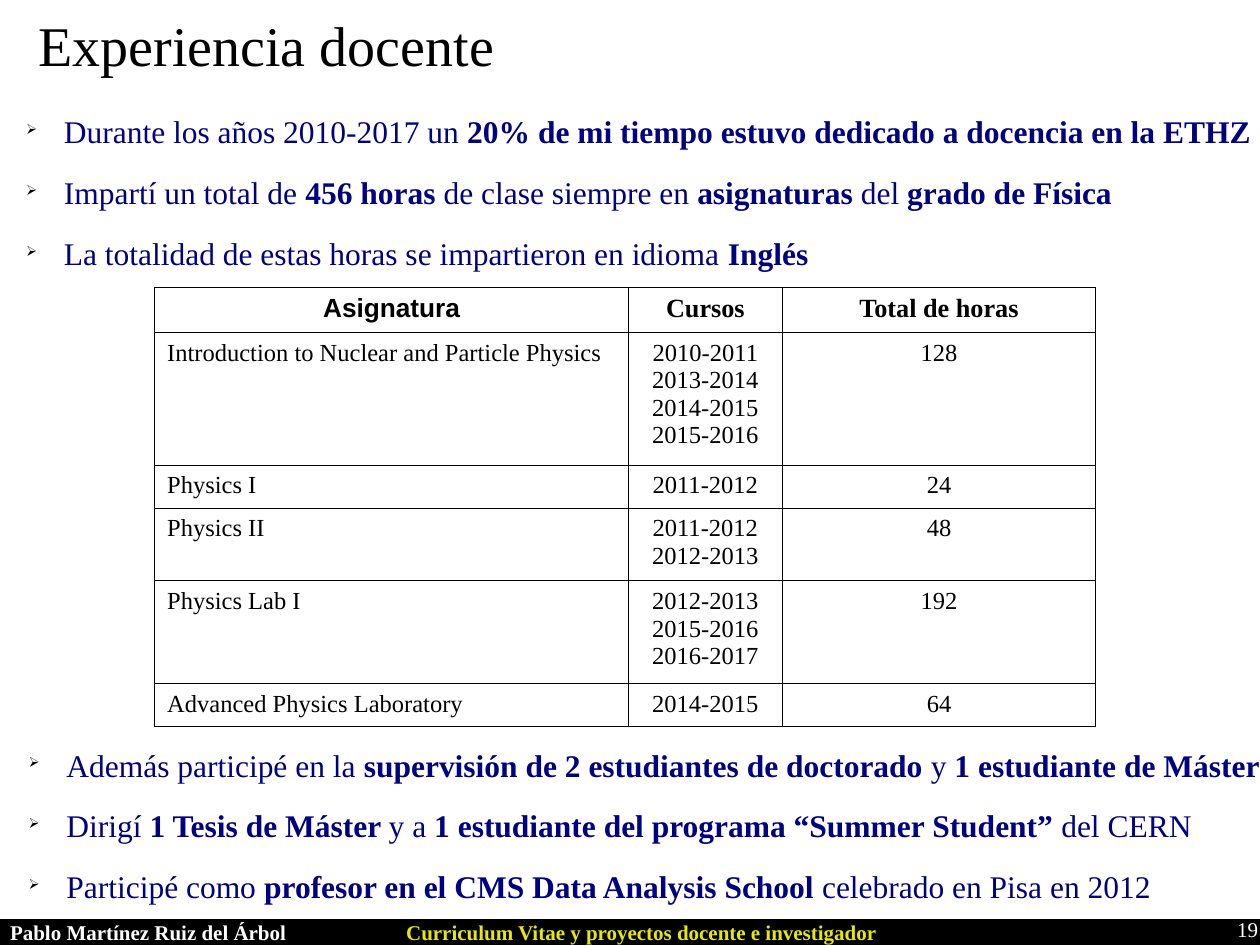
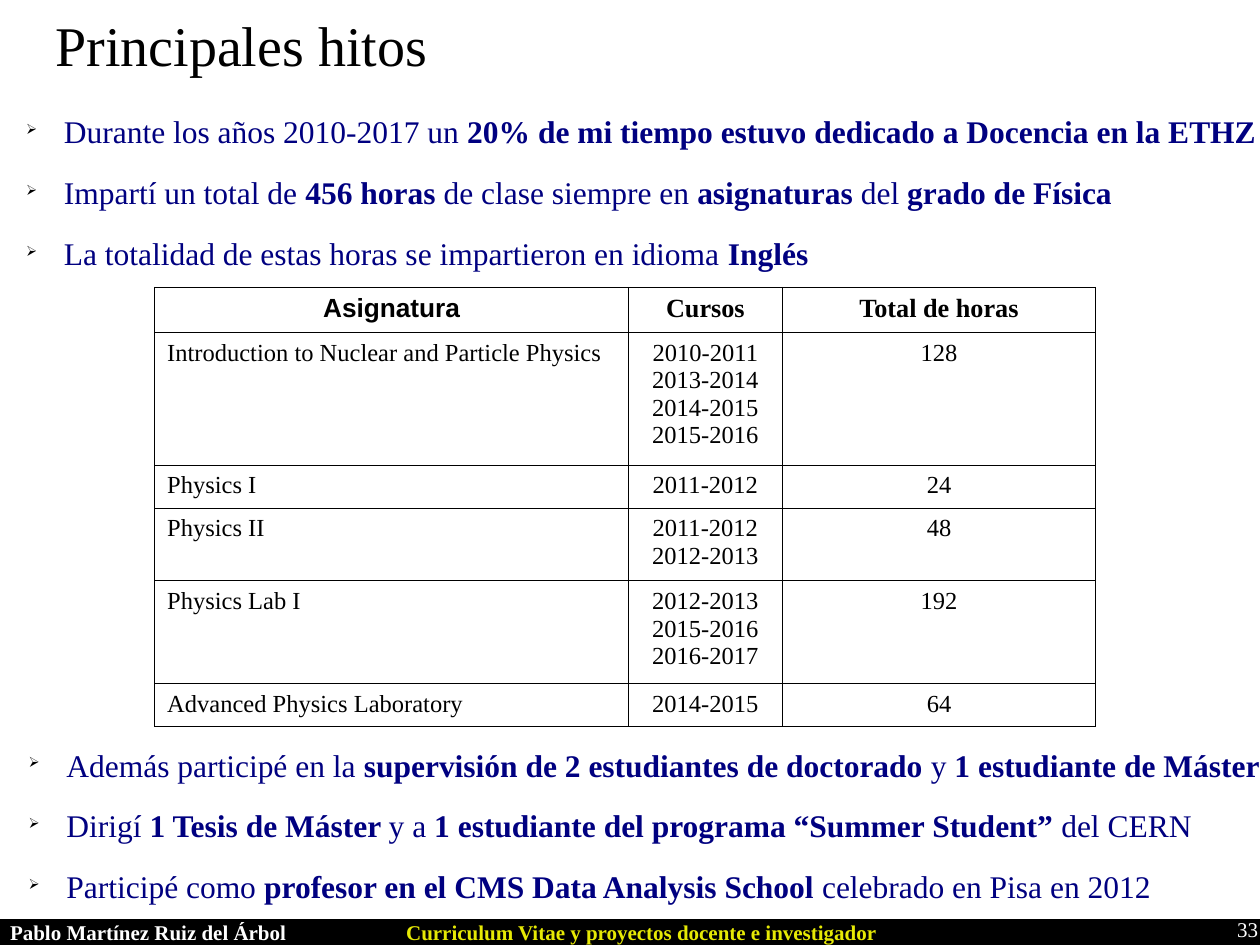
from lxml.etree import SubElement
from pptx import Presentation
from pptx.dml.color import RGBColor
from pptx.enum.shapes import MSO_SHAPE
from pptx.enum.text import PP_ALIGN
from pptx.oxml import parse_xml
from pptx.oxml.ns import nsdecls, qn
from pptx.util import Cm, Pt

SERIF, SANS = "Times New Roman", "Arial"
BLACK, WHITE, NAVY, YELLOW = "000000", "FFFFFF", "000080", "E6E905"
SLIDE_W, SLIDE_H = 25.4, 19.05
BULLET_INDENT = 0.76

COLUMN_WIDTHS = [9.55, 3.1, 6.32]
ROW_HEIGHTS = [0.89, 2.64, 0.86, 1.45, 2.03, 0.86]
HEADINGS = [("Asignatura", SANS), ("Cursos", SERIF), ("Total de horas", SERIF)]
COURSES = [
    ("Introduction to Nuclear and Particle Physics",
     ["2010-2011", "2013-2014", "2014-2015", "2015-2016"], 128),
    ("Physics I", ["2011-2012"], 24),
    ("Physics II", ["2011-2012", "2012-2013"], 48),
    ("Physics Lab I", ["2012-2013", "2015-2016", "2016-2017"], 192),
    ("Advanced Physics Laboratory", ["2014-2015"], 64),
]

# Text between double asterisks is bold.
TEACHING = [
    "Durante los años 2010-2017 un **20% de mi tiempo estuvo dedicado a {} en la ETHZ**",
    "Impartí un total de **456 horas** de clase siempre en **asignaturas** del **grado de Física**",
    "La totalidad de estas horas se impartieron en idioma **Inglés**",
]
SUPERVISION = [
    "Además participé en la **supervisión de 2 estudiantes de doctorado** y **1 estudiante de Máster**",
    "Dirigí **1 Tesis de Máster **y a **1 estudiante del programa “Summer Student”** del CERN",
    "Participé como **profesor en el CMS Data Analysis School** celebrado en Pisa en 2012",
]


def rgb(color):
    return RGBColor.from_string(color)


def write(tf, text, size=12, color=BLACK, font=SERIF, bold=False,
          align=PP_ALIGN.LEFT, spacing=1.02, before=0):
    """Fill a text frame, one paragraph per line; ** toggles bold."""
    for i, line in enumerate(text.split("\n")):
        p = tf.paragraphs[0] if i == 0 else tf.add_paragraph()
        p.alignment, p.line_spacing = align, spacing
        p.space_before = Pt(before)
        for j, part in enumerate(line.split("**")):
            if part:
                r = p.add_run()
                r.text = part
                r.font.name, r.font.size = font, Pt(size)
                r.font.bold = bold or j % 2 == 1
                r.font.color.rgb = rgb(color)


def add_text(s, box, text, inset=(0.25, 0.13), **fmt):
    tf = s.shapes.add_textbox(*map(Cm, box)).text_frame
    tf.word_wrap = True
    tf.margin_left = tf.margin_right = Cm(inset[0])
    tf.margin_top = tf.margin_bottom = Cm(inset[1])
    write(tf, text, **fmt)
    return tf


def add_footer(s, box, number):
    left, top, width, height = box
    band = s.shapes.add_shape(MSO_SHAPE.RECTANGLE, *map(Cm, box))
    band.shadow.inherit = False
    band.fill.solid()
    band.fill.fore_color.rgb = rgb(BLACK)
    band.line.color.rgb = rgb(BLACK)
    band.line.width = Pt(0.75)
    for x, w, text, color in [
        (-0.5, 6.98, "Pablo Martínez Ruiz del Árbol", WHITE),
        (6.8, 12.27, "Curriculum Vitae y proyectos docente e investigador", YELLOW),
    ]:
        add_text(s, (left + x, top - 0.15, w, 0.94), text, color=color,
                 bold=True, align=PP_ALIGN.CENTER, before=1)
    add_text(s, (left + width - 0.71, top - 0.2, 1.78, 1.4), str(number),
             color=WHITE, before=1)


def add_bullets(s, box, lines):
    tf = add_text(s, box, "\n".join(lines), inset=(0.33, 0.2), size=18,
                  color=NAVY, spacing=1.5, before=2.4)
    for p in tf.paragraphs:
        pPr = p._p.get_or_add_pPr()
        pPr.set("marL", str(Cm(BULLET_INDENT)))
        pPr.set("indent", str(-Cm(BULLET_INDENT)))
        color = SubElement(pPr, qn("a:buClr"))
        SubElement(color, qn("a:srgbClr"), val=BLACK)
        SubElement(pPr, qn("a:buSzPct"), val="45000")
        SubElement(pPr, qn("a:buChar"), char="➢")


def add_borders(cell):
    tcPr = cell._tc.get_or_add_tcPr()
    for i, side in enumerate(["lnL", "lnR", "lnT", "lnB"]):
        tcPr.insert(i, parse_xml(
            f'<a:{side} {nsdecls("a")} w="{Pt(0.57)}"><a:solidFill>'
            f'<a:srgbClr val="{BLACK}"/></a:solidFill></a:{side}>'))


def add_course_table(s, left, top):
    box = left, top, sum(COLUMN_WIDTHS), sum(ROW_HEIGHTS)
    table = s.shapes.add_table(len(ROW_HEIGHTS), len(COLUMN_WIDTHS),
                               *map(Cm, box)).table
    table.first_row = table.horz_banding = False
    for column, width in zip(table.columns, COLUMN_WIDTHS):
        column.width = Cm(width)
    for row, height in zip(table.rows, ROW_HEIGHTS):
        row.height = Cm(height)
    for j, (text, font) in enumerate(HEADINGS):
        write(table.cell(0, j).text_frame, text, size=15, font=font,
              bold=True, align=PP_ALIGN.CENTER)
    for i, (name, years, hours) in enumerate(COURSES, 1):
        for j, text in enumerate([name, "\n".join(years), str(hours)]):
            write(table.cell(i, j).text_frame, text, size=14,
                  align=PP_ALIGN.CENTER if j else PP_ALIGN.LEFT)
    for cell in table.iter_cells():
        cell.margin_left = cell.margin_right = Cm(0.25)
        cell.margin_top = cell.margin_bottom = Cm(0.13)
        cell.fill.background()
        add_borders(cell)


def add_teaching_slide(prs, title, title_width, teaching_word, number):
    s = prs.slides.add_slide(prs.slide_layouts[6])
    add_footer(s, (0, 18.54, SLIDE_W, 0.56), number)
    add_text(s, (0.08, 0.05, title_width, 1.8), title, size=32,
             align=PP_ALIGN.CENTER, before=4)
    add_bullets(s, (0.2, 1.68, 26, 3.05),
                [line.format(teaching_word) for line in TEACHING])
    add_course_table(s, 3.12, 5.79)
    add_bullets(s, (0.25, 14.45, 26, 3.05), SUPERVISION)


def main():
    prs = Presentation()
    prs.slide_width, prs.slide_height = Cm(SLIDE_W), Cm(SLIDE_H)
    add_teaching_slide(prs, "Experiencia docente", 10.59, "docencia", 19)
    add_teaching_slide(prs, "Principales hitos", 9.58, "Docencia", 33)
    prs.save("out.pptx")


if __name__ == "__main__":
    main()
